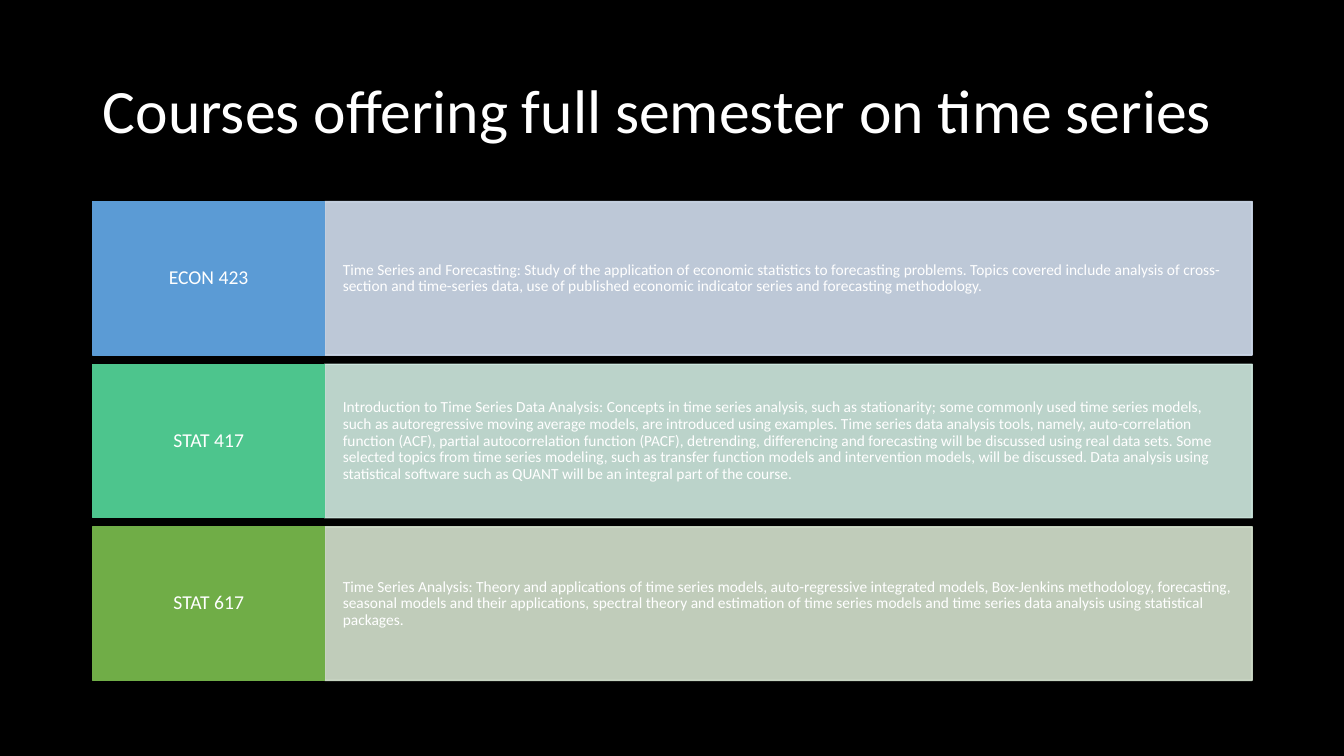
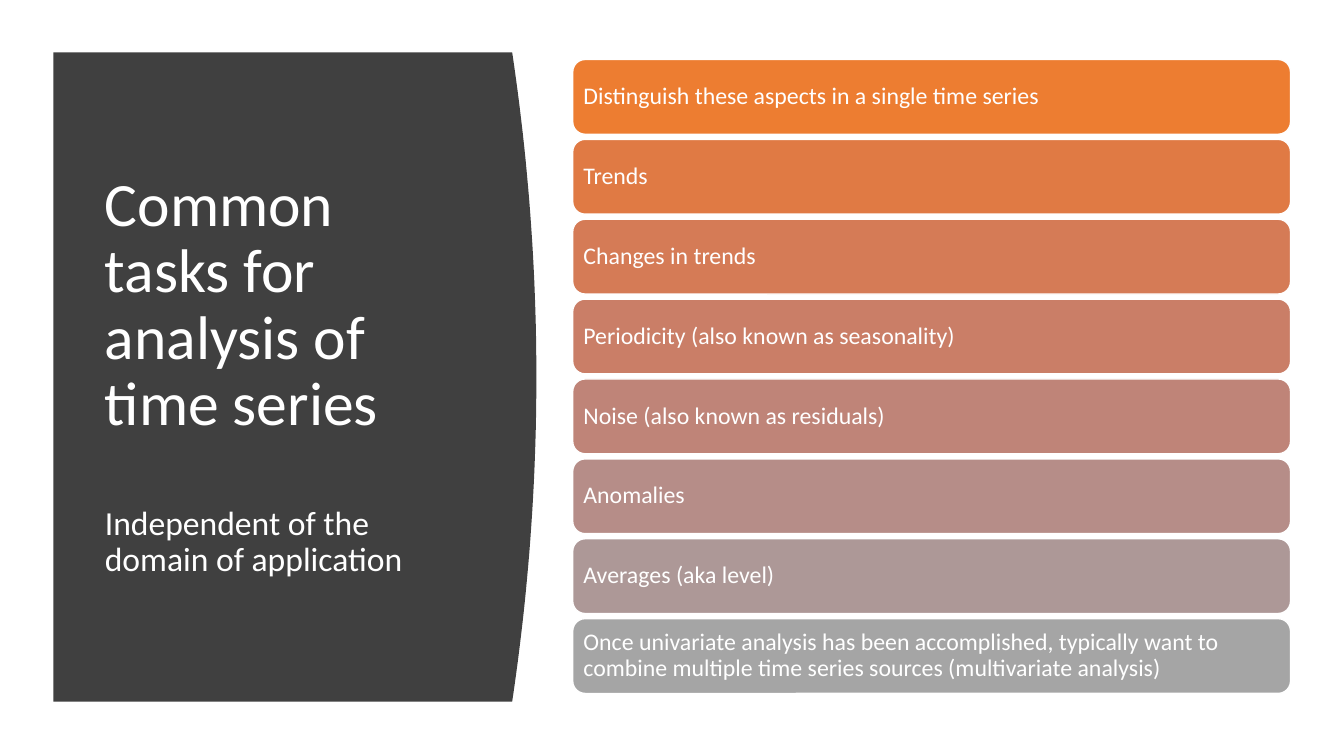
from dataclasses import dataclass

from lxml import etree
from pptx import Presentation
from pptx.dml.color import RGBColor
from pptx.enum.shapes import MSO_SHAPE
from pptx.enum.text import MSO_ANCHOR, MSO_AUTO_SIZE, PP_ALIGN
from pptx.oxml.ns import qn
from pptx.util import Inches, Pt

RECT = MSO_SHAPE.RECTANGLE
ROUNDED = MSO_SHAPE.ROUNDED_RECTANGLE
MIDDLE = MSO_ANCHOR.MIDDLE
NO_AUTOFIT = MSO_AUTO_SIZE.NONE
LEFT = PP_ALIGN.LEFT
CENTER = PP_ALIGN.CENTER


@dataclass(frozen=True)
class Theme:
    font: str = "Calibri"
    dark: str = "000000"
    light: str = "FFFFFF"
    panel: str = "404040"
    title_size: int = 44
    subtitle_size: int = 24
    task_size: int = 17
    code_size: int = 14
    summary_size: int = 11
    line_spacing: float = 0.9
    summary_opacity: int = 90000


THEME = Theme()


def write(frame, lines, align=LEFT, inset=0.1):
    frame.word_wrap = True
    frame.auto_size = NO_AUTOFIT
    frame.vertical_anchor = MIDDLE
    frame.margin_left = frame.margin_right = Inches(inset)
    frame.margin_top = frame.margin_bottom = Inches(0.05)
    for index, (text, size, space_before) in enumerate(lines):
        paragraph = frame.add_paragraph() if index else frame.paragraphs[0]
        paragraph.alignment = align
        paragraph.line_spacing = THEME.line_spacing
        paragraph.space_before = Pt(space_before)
        run = paragraph.add_run()
        run.text = text
        run.font.name = THEME.font
        run.font.size = Pt(size)
        run.font.color.rgb = RGBColor.from_string(THEME.light)


def add_block(slide, kind, box, fill, line, opacity=None):
    block = slide.shapes.add_shape(kind, *(Inches(length) for length in box))
    block.shadow.inherit = False
    block.fill.solid()
    block.fill.fore_color.rgb = RGBColor.from_string(fill)
    block.line.color.rgb = RGBColor.from_string(line)
    block.line.width = Pt(1)
    if opacity:
        for colour in block.element.spPr.iter(qn("a:srgbClr")):
            etree.SubElement(colour, qn("a:alpha")).set("val", str(opacity))
    return block


WIDTH, HEIGHT = 13.33, 7.5
deck = Presentation()
deck.slide_width, deck.slide_height = Inches(WIDTH), Inches(HEIGHT)

SLIDES = [
    (THEME.dark, (0.92, 0.4, 11.5, 1.45),
     [("Courses offering full semester on time series", THEME.title_size, 0)]),
    (THEME.light, (0.94, 1.11, 3.74, 5.24),
     [("Common tasks for analysis of time series", THEME.title_size, 0),
      ("Independent of the domain of application", THEME.subtitle_size, 48)]),
]
slides = []
for background, title_box, title_lines in SLIDES:
    slide = deck.slides.add_slide(deck.slide_layouts[5])
    slide.background.fill.solid()
    slide.background.fill.fore_color.rgb = RGBColor.from_string(background)
    title = slide.shapes.title
    title.left, title.top, title.width, title.height = map(Inches, title_box)
    write(title.text_frame, title_lines)
    slides.append(slide)
courses_slide, tasks_slide = slides

COURSES = [
    ("ECON 423", "5B9BD5", "D2DEEF",
     "Time Series and Forecasting: Study of the application of economic statistics to "
     "forecasting problems. Topics covered include analysis of cross-section and time-series "
     "data, use of published economic indicator series and forecasting methodology."),
    ("STAT 417", "4DC58D", "D0EAE1",
     "Introduction to Time Series Data Analysis: Concepts in time series analysis, such as "
     "stationarity; some commonly used time series models, such as autoregressive moving "
     "average models, are introduced using examples. Time series data analysis tools, namely, "
     "auto-correlation function (ACF), partial autocorrelation function (PACF), detrending, "
     "differencing and forecasting will be discussed using real data sets. Some selected topics "
     "from time series modeling, such as transfer function models and intervention models, will "
     "be discussed. Data analysis using statistical software such as QUANT will be an integral "
     "part of the course."),
    ("STAT 617", "70AD47", "D5E3CF",
     "Time Series Analysis: Theory and applications of time series models, auto-regressive "
     "integrated models, Box-Jenkins methodology, forecasting, seasonal models and their "
     "applications, spectral theory and estimation of time series models and time series data "
     "analysis using statistical packages."),
]
TABLE_LEFT, TABLE_TOP, TABLE_WIDTH, TABLE_HEIGHT = 0.92, 2, 11.5, 4.75
COURSE_GAP = 0.09
code_width = TABLE_WIDTH / 5
course_height = (TABLE_HEIGHT - COURSE_GAP * (len(COURSES) - 1)) / len(COURSES)
for row, (code, code_fill, summary_fill, summary) in enumerate(COURSES):
    top = TABLE_TOP + row * (course_height + COURSE_GAP)
    summary_box = (TABLE_LEFT + code_width, top, TABLE_WIDTH - code_width, course_height)
    summary_block = add_block(courses_slide, RECT, summary_box, summary_fill, summary_fill,
                              THEME.summary_opacity)
    write(summary_block.text_frame, [(summary, THEME.summary_size, 0)], inset=0.18)
    code_block = add_block(courses_slide, RECT, (TABLE_LEFT, top, code_width, course_height),
                           code_fill, code_fill)
    write(code_block.text_frame, [(code, THEME.code_size, 0)], CENTER, 0.12)

PANEL_LEFT, PANEL_TOP, PANEL_RIGHT, PANEL_BOTTOM = 0.53, 0.52, 5.08, 6.96
BULGE, STEPS = 0.24, 48
edge = []
for step in range(STEPS + 1):
    share = step / STEPS
    edge.append((Inches(PANEL_RIGHT + BULGE * 4 * share * (1 - share)),
                 Inches(PANEL_TOP + share * (PANEL_BOTTOM - PANEL_TOP))))
outline = tasks_slide.shapes.build_freeform(Inches(PANEL_LEFT), Inches(PANEL_TOP))
outline.add_line_segments(edge + [(Inches(PANEL_LEFT), Inches(PANEL_BOTTOM))], close=True)
panel = outline.convert_to_shape()
panel.shadow.inherit = False
panel.fill.solid()
panel.fill.fore_color.rgb = RGBColor.from_string(THEME.panel)
panel.line.fill.background()
tasks_title = tasks_slide.shapes.title.element
panel.element.addnext(tasks_title)

TASKS = [
    ("Distinguish these aspects in a single time series", "ED7D31"),
    ("Trends", "E07A44"),
    ("Changes in trends", "D57B56"),
    ("Periodicity (also known as seasonality)", "CA7E67"),
    ("Noise (also known as residuals)", "BF8478"),
    ("Anomalies", "B68D88"),
    ("Averages (aka level)", "AD9897"),
    ("Once univariate analysis has been accomplished, typically want to combine multiple "
     "time series sources (multivariate analysis)", "A5A5A5"),
]
LIST_LEFT, LIST_TOP, LIST_WIDTH, LIST_HEIGHT = 5.68, 0.59, 7.12, 6.29
TASK_GAP = 0.05
task_height = (LIST_HEIGHT - TASK_GAP * (len(TASKS) - 1)) / len(TASKS)
for row, (task, fill) in enumerate(TASKS):
    top = LIST_TOP + row * (task_height + TASK_GAP)
    task_block = add_block(tasks_slide, ROUNDED, (LIST_LEFT, top, LIST_WIDTH, task_height),
                           fill, THEME.light)
    write(task_block.text_frame, [(task, THEME.task_size, 0)], inset=0.07)

deck.save("out.pptx")
